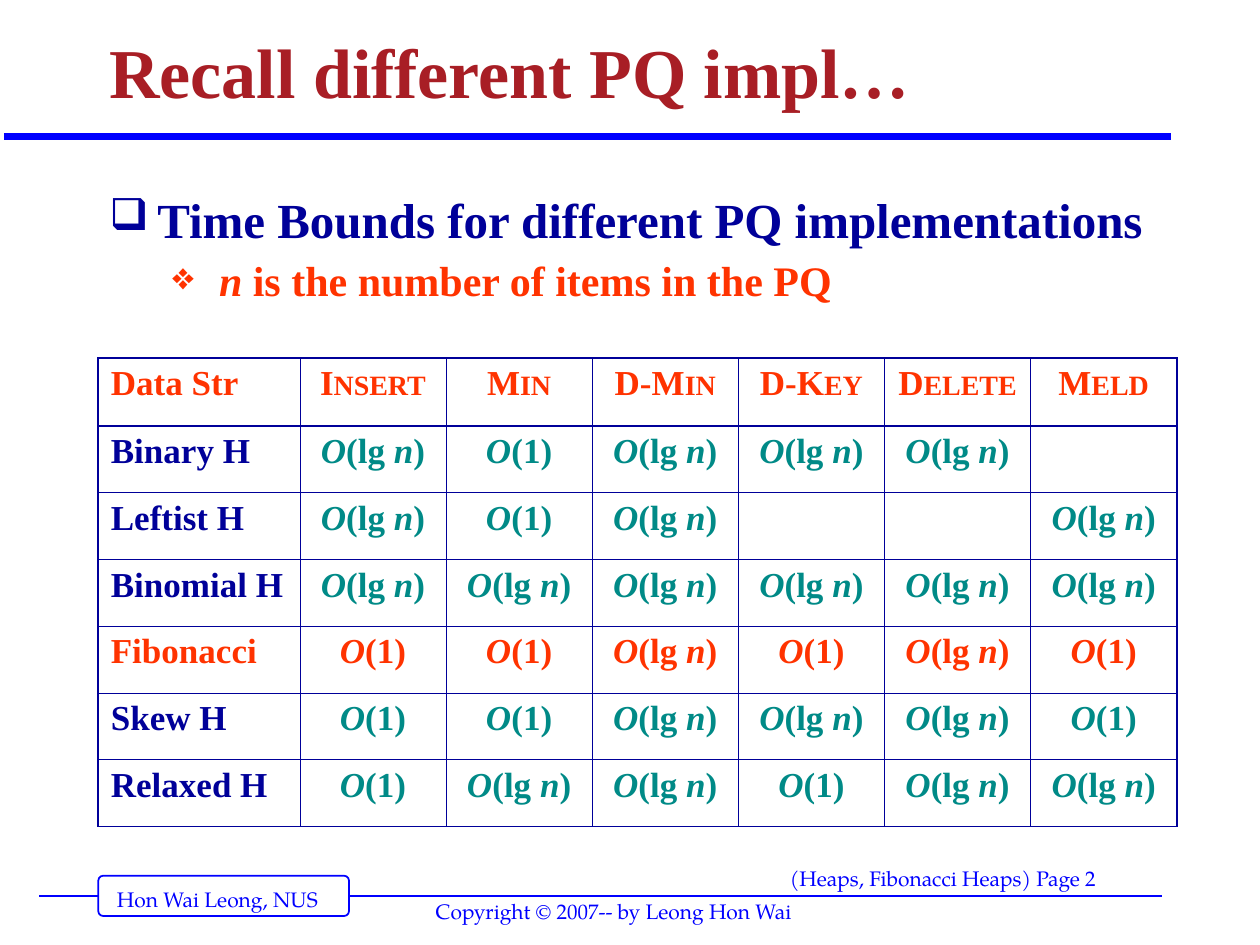
from lxml import etree
from pptx import Presentation
from pptx.dml.color import RGBColor
from pptx.enum import shapes, text
from pptx.oxml import ns
from pptx.util import Inches, Pt

SERIF, FOOTER_FONT = "Times New Roman", "TeX Gyre Pagella"
BLUE = RGBColor(0x00, 0x00, 0xFF)
NAVY = RGBColor(0x00, 0x00, 0x99)
MAROON = RGBColor(0xA8, 0x1E, 0x25)
ORANGE = RGBColor(0xFF, 0x33, 0x00)
TEAL = RGBColor(0x00, 0x8A, 0x87)
WHITE = RGBColor(0xFF, 0xFF, 0xFF)

TITLE = "Recall different PQ impl…"
BULLETS = [
    ("❑", [("Time Bounds for different PQ implementations", False)], 28, NAVY, 0, 0.38, -0.38),
    ("❖", [("n", True), (" is the number of items in the PQ", False)], 24, ORANGE, 6, 0.87, -0.37),
]
FOOTERS = [
    ("Hon Wai Leong, NUS", 0.83, 6.99, 1.85, 0.3),
    ("(Heaps, Fibonacci Heaps) Page 2", 6.17, 6.82, 3.44, 0.32),
    ("Copyright © 2007-- by Leong Hon Wai", 3.36, 7.08, 3.15, 0.3),
]
RULES = [(0.31, 9.22, 7.11, 1), (0.03, 9.29, 1.08, 4)]

OPERATIONS = [("I", "NSERT"), ("M", "IN"), ("D-M", "IN"), ("D-K", "EY"), ("D", "ELETE"), ("M", "ELD")]
CONST = [("O", True), ("(1)", False)]
LOG = [("O", True), ("(lg ", False), ("n", True), (")", False)]
NONE = []
BOUNDS = [
    ("Binary H", [LOG, CONST, LOG, LOG, LOG, NONE]),
    ("Leftist H", [LOG, CONST, LOG, NONE, NONE, LOG]),
    ("Binomial H", [LOG, LOG, LOG, LOG, LOG, LOG]),
    ("Fibonacci", [CONST, CONST, LOG, CONST, LOG, CONST]),
    ("Skew H", [CONST, CONST, LOG, LOG, LOG, CONST]),
    ("Relaxed H", [CONST, LOG, LOG, CONST, LOG, LOG]),
]
HIGHLIGHT = "Fibonacci"
COLUMNS = [1.6] + [1.16] * len(OPERATIONS)
ROWS = [0.54] + [0.53] * len(BOUNDS)
THICK, THIN = 1.08, 0.45


def style(font, name, size, color, bold=False):
    font.name, font.size, font.bold = name, Pt(size), bold
    font.color.rgb = color


def add_spans(para, spans):
    for words, italic in spans:
        span = para.add_run()
        span.text = words
        if italic:
            span.font.italic = True


def add_box(page, left, top, width, height):
    box = page.shapes.add_textbox(Inches(left), Inches(top), Inches(width), Inches(height))
    box.text_frame.word_wrap = True
    return box.text_frame


def add_rule(page, start, end, y, weight):
    rule = page.shapes.add_connector(
        shapes.MSO_CONNECTOR.STRAIGHT, Inches(start), Inches(y), Inches(end), Inches(y))
    rule.line.color.rgb = BLUE
    rule.line.width = Pt(weight)
    etree.SubElement(rule.element.spPr, ns.qn("a:effectLst"))


def set_bullet(para, mark, color, margin, indent):
    props = para._p.get_or_add_pPr()
    props.set("marL", str(Inches(margin)))
    props.set("indent", str(Inches(indent)))
    tint = etree.SubElement(props, ns.qn("a:buClr"))
    etree.SubElement(tint, ns.qn("a:srgbClr"), val=str(color))
    etree.SubElement(props, ns.qn("a:buSzPct"), val="90000")
    etree.SubElement(props, ns.qn("a:buChar"), char=mark)


def set_borders(cell, weights):
    props = cell._tc.get_or_add_tcPr()
    for index, (side, weight) in enumerate(zip("LRTB", weights)):
        line = etree.Element(ns.qn("a:ln" + side), w=str(Pt(weight)))
        fill = etree.SubElement(line, ns.qn("a:solidFill"))
        etree.SubElement(fill, ns.qn("a:srgbClr"), val=str(NAVY))
        props.insert(index, line)


def add_bounds_table(page):
    table = page.shapes.add_table(
        len(ROWS), len(COLUMNS), Inches(0.78), Inches(2.84),
        Inches(sum(COLUMNS)), Inches(sum(ROWS))).table
    table.first_row = table.horz_banding = False
    for column, width in zip(table.columns, COLUMNS):
        column.width = Inches(width)
    for row, height in zip(table.rows, ROWS):
        row.height = Inches(height)

    header = [[("Data Str", False)]] + [[(part, False) for part in name] for name in OPERATIONS]
    grid = [header] + [[[(name, False)]] + bounds for name, bounds in BOUNDS]
    last_row, last_column = len(ROWS) - 1, len(COLUMNS) - 1
    for r, cells in enumerate(grid):
        marked = r == 0 or cells[0][0][0] == HIGHLIGHT
        for c, spans in enumerate(cells):
            cell = table.cell(r, c)
            cell.fill.background()
            edges = (c == 0, c == last_column, r <= 1, r in (0, last_row))
            set_borders(cell, [THICK if edge else THIN for edge in edges])
            para = cell.text_frame.paragraphs[0]
            add_spans(para, spans)
            if c:
                para.alignment = text.PP_ALIGN.CENTER
            style(para.font, SERIF, 20, ORANGE if marked else TEAL if c else NAVY, True)
            if r == 0 and c:
                para.runs[1].font.size = Pt(16)


def main():
    deck = Presentation()
    deck.slide_width, deck.slide_height = Inches(10), Inches(7.5)
    page = deck.slides.add_slide(deck.slide_layouts[6])

    add_rule(page, *RULES[0])
    frame = page.shapes.add_shape(
        shapes.MSO_SHAPE.ROUNDED_RECTANGLE, Inches(0.78), Inches(6.95), Inches(1.99), Inches(0.32))
    frame.adjustments[0] = 0.125
    frame.shadow.inherit = False
    frame.fill.solid()
    frame.fill.fore_color.rgb = WHITE
    frame.line.color.rgb = BLUE
    frame.line.width = Pt(1)
    add_rule(page, *RULES[1])

    for words, *place in FOOTERS:
        para = add_box(page, *place).paragraphs[0]
        para.text = words
        style(para.font, FOOTER_FONT, 12, BLUE)

    title = add_box(page, 0.77, 0.08, 8.5, 0.87)
    title.vertical_anchor = text.MSO_ANCHOR.BOTTOM
    para = title.paragraphs[0]
    para.text = TITLE
    para.line_spacing = 0.9
    style(para.font, SERIF, 40, MAROON, True)

    add_bounds_table(page)

    body = add_box(page, 0.77, 1.51, 8.53, 0.98)
    for level, (mark, spans, size, color, before, margin, indent) in enumerate(BULLETS):
        para = body.add_paragraph() if level else body.paragraphs[0]
        set_bullet(para, mark, color, margin, indent)
        para.level = level
        para.line_spacing = 0.9
        para.space_before = Pt(before)
        add_spans(para, spans)
        style(para.font, SERIF, size, color, True)

    deck.save("out.pptx")


if __name__ == "__main__":
    main()
